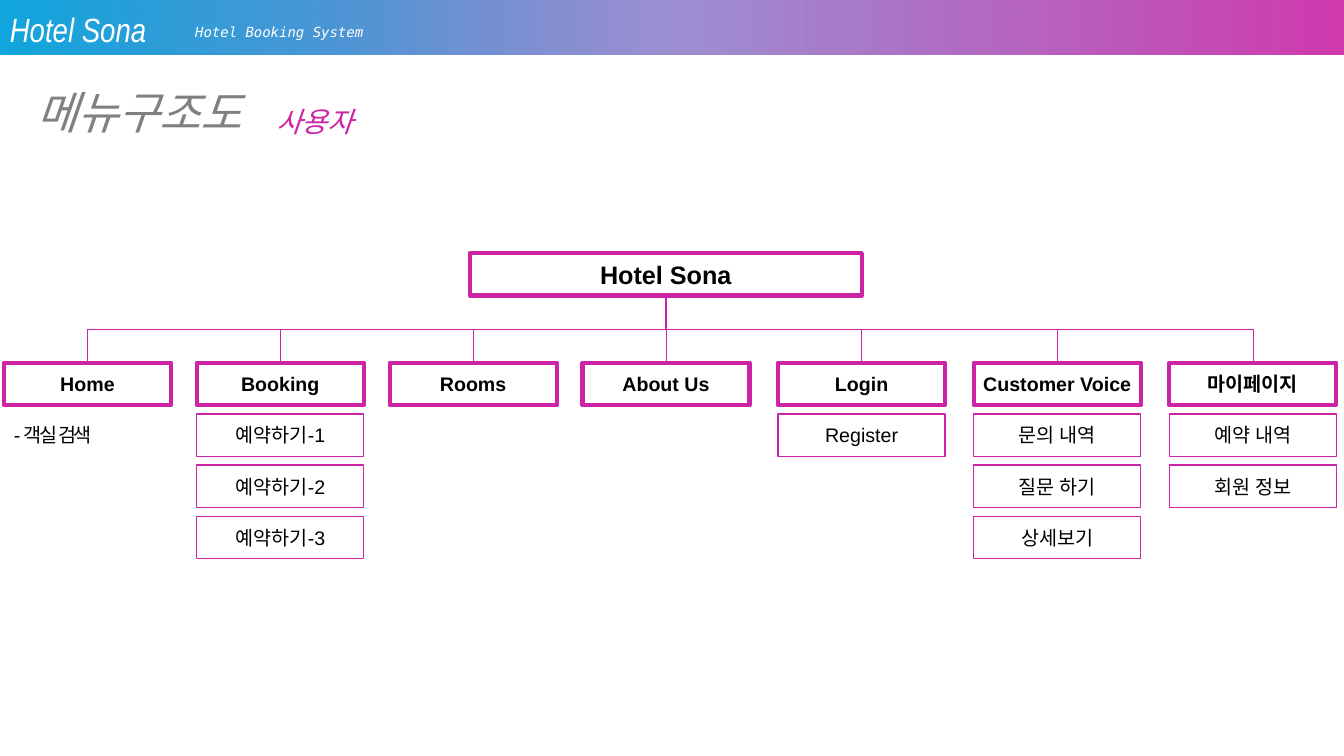
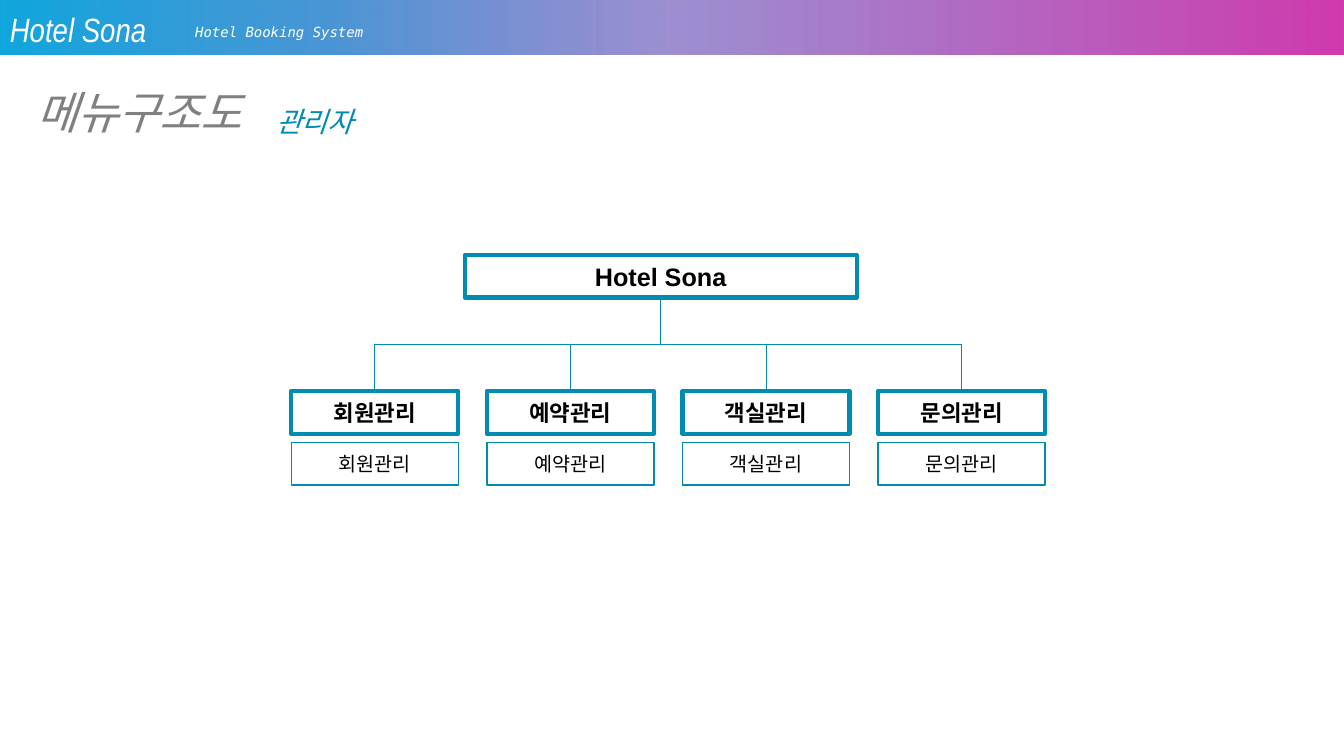
from dataclasses import dataclass

from lxml import etree
from pptx import Presentation, util as u
from pptx.dml.color import RGBColor
from pptx.enum import shapes, text
from pptx.oxml import parse_xml
from pptx.oxml.ns import nsdecls, qn
from pptx.slide import Slide

# Colours and fonts
MAGENTA = RGBColor(0xCC, 0x24, 0xA5)
TEAL = RGBColor(0x00, 0x8B, 0xB0)
GREY = RGBColor(0x80, 0x80, 0x80)
WHITE = RGBColor(0xFF, 0xFF, 0xFF)
BLACK = RGBColor(0x00, 0x00, 0x00)
# Band stops: position, colour, opacity (percent)
BAND_STOPS = [
    (0, MAGENTA, 90),
    (25, RGBColor(0xA3, 0x41, 0xB1), 80),
    (50, RGBColor(0x75, 0x61, 0xBF), 70),
    (75, RGBColor(0x39, 0x8B, 0xD1), 90),
    (100, RGBColor(0x11, 0xA7, 0xDE), 100),
]
KOREAN = "Noto Sans CJK KR"
BODY = "Arial"

# Lengths in centimetres
SLIDE_W, SLIDE_H = 33.87, 19.05
ROOT_W, BOX_W, BOX_H = 9.88, 4.21, 1.07
ROW_STEP = 1.29


@dataclass
class Style:
    size: float
    color: RGBColor = BLACK
    font: str = BODY
    bold: bool = False
    italic: bool = False
    spacing: int = 0


@dataclass
class Area:
    left: float
    top: float
    width: float
    height: float

    @property
    def center(self) -> float:
        return self.left + self.width / 2

    @property
    def bottom(self) -> float:
        return self.top + self.height

    def lengths(self) -> list[u.Length]:
        return [u.Cm(v) for v in (self.left, self.top, self.width, self.height)]


@dataclass
class Menu:
    label: str
    left: float
    items: tuple[str, ...] = ()
    boxed: bool = True


@dataclass
class SiteMap:
    role: str
    accent: RGBColor
    root_left: float
    root_top: float
    menu_top: float
    menu_size: float
    menus: list[Menu]


# Content
SITE = "Hotel Sona"
USER_LEFTS = [0.1 + 4.86 * i for i in range(4)] + [14.68 + 4.93 * i for i in (1, 2, 3)]
USER_MENUS = [
    ("Home", ("- 객실 검색",), False),
    ("Booking", ("예약하기-1", "예약하기-2", "예약하기-3")),
    ("Rooms",),
    ("About Us",),
    ("Login", ("Register",)),
    ("Customer Voice", ("문의 내역", "질문 하기", "상세보기")),
    ("마이페이지", ("예약 내역", "회원 정보")),
]
ADMIN_MENUS = ["회원관리", "예약관리", "객실관리", "문의관리"]

SITE_MAPS = [
    SiteMap("사용자", MAGENTA, 11.84, 6.38, 9.14, 14,
            [Menu(label, left, *rest)
             for left, (label, *rest) in zip(USER_LEFTS, USER_MENUS)]),
    SiteMap("관리자", TEAL, 11.71, 6.43, 9.86, 16,
            [Menu(label, 7.34 + 4.93 * i, (label,))
             for i, label in enumerate(ADMIN_MENUS)]),
]


def write(shape, wording: str, style: Style) -> None:
    run = shape.text_frame.paragraphs[0].add_run()
    run.text = wording
    font = run.font
    font.size, font.name = u.Pt(style.size), style.font
    font.bold, font.italic = style.bold, style.italic
    font.color.rgb = style.color
    props = run._r.get_or_add_rPr()
    etree.SubElement(props, qn("a:ea")).set("typeface", KOREAN)
    if style.spacing:
        props.set("spc", str(style.spacing))


def add_label(slide: Slide, area: Area, wording: str, style: Style, wrap: bool = True):
    label = slide.shapes.add_textbox(*area.lengths())
    label.text_frame.word_wrap = wrap
    label.text_frame.auto_size = text.MSO_AUTO_SIZE.SHAPE_TO_FIT_TEXT
    write(label, wording, style)
    return label


def add_rect(slide: Slide, area: Area):
    rect = slide.shapes.add_shape(shapes.MSO_SHAPE.RECTANGLE, *area.lengths())
    rect.shadow.inherit = False
    rect.line.fill.background()
    return rect


def add_box(slide: Slide, area: Area, wording: str, style: Style,
            border: RGBColor | None, weight: float = 1) -> None:
    box = add_rect(slide, area)
    box.fill.solid()
    box.fill.fore_color.rgb = WHITE
    if border is not None:
        box.line.color.rgb = border
        box.line.width = u.Pt(weight)
    frame = box.text_frame
    frame.word_wrap = False
    frame.vertical_anchor = text.MSO_ANCHOR.MIDDLE
    frame.paragraphs[0].alignment = (
        text.PP_ALIGN.LEFT if border is None else text.PP_ALIGN.CENTER)
    write(box, wording, style)


def add_branch(slide: Slide, root: Area, menu: Area, color: RGBColor) -> None:
    """Elbow that leaves the root downwards: a quarter turn of the sideways one."""
    drop, reach = menu.top - root.bottom, abs(menu.center - root.center)
    mid_x = (root.center + menu.center) / 2
    mid_y = (root.bottom + menu.top) / 2
    to_right = menu.center > root.center
    half = -drop / 2 if to_right else drop / 2
    branch = slide.shapes.add_connector(
        shapes.MSO_CONNECTOR.ELBOW,
        u.Cm(mid_x - half), u.Cm(mid_y - reach / 2),
        u.Cm(mid_x + half), u.Cm(mid_y + reach / 2))
    branch.line.color.rgb = color
    branch.line.width = u.Pt(0.5)
    props = branch.element.spPr
    props.find(qn("a:xfrm")).set("rot", str((270 if to_right else 90) * 60000))
    etree.SubElement(props, qn("a:effectLst"))


def add_header(slide: Slide) -> None:
    """Draw the gradient band with its names and move it to the slide master."""
    band = add_rect(slide, Area(0, 0, SLIDE_W, 1.37))
    stops = "".join(
        f'<a:gs pos="{pos * 1000}"><a:srgbClr val="{color}">'
        f'<a:alpha val="{opacity * 1000}"/></a:srgbClr></a:gs>'
        for pos, color, opacity in BAND_STOPS)
    band.element.spPr.find(qn("a:prstGeom")).addnext(parse_xml(
        f'<a:gradFill {nsdecls("a")} rotWithShape="1"><a:gsLst>{stops}</a:gsLst>'
        f'<a:lin ang="{180 * 60000}" scaled="0"/></a:gradFill>'))
    name = add_label(slide, Area(0, 0.1, 13.13, 1.27), SITE,
                     Style(24, WHITE, "Arial Narrow", italic=True))
    tagline = add_label(slide, Area(4.67, 0.46, 7.57, 0.69), "Hotel Booking System",
                        Style(10, WHITE, "DejaVu Sans Mono", italic=True))
    master_tree = slide.slide_layout.slide_master.shapes.element
    for part in (band, name, tagline):
        master_tree.append(part.element)


def add_site_map(slide: Slide, site_map: SiteMap) -> None:
    accent = site_map.accent

    # Title and role
    add_label(slide, Area(0.66, 2.01, 12.09, 1.63), "메뉴구조도",
              Style(32, GREY, KOREAN, italic=True))
    add_label(slide, Area(6.71, 2.51, 2.64, 1.12), site_map.role,
              Style(20, accent, KOREAN, italic=True), wrap=False)

    # Root, menus and their items
    root = Area(site_map.root_left, site_map.root_top, ROOT_W, BOX_H)
    add_box(slide, root, SITE, Style(18, bold=True), accent, 3)
    for menu in site_map.menus:
        head = Area(menu.left, site_map.menu_top, BOX_W, BOX_H)
        add_branch(slide, root, head, accent)
        add_box(slide, head, menu.label, Style(site_map.menu_size, bold=True), accent, 3)
        for row, item in enumerate(menu.items, start=1):
            add_box(slide, Area(menu.left, head.top + row * ROW_STEP, BOX_W, BOX_H), item,
                    Style(14, spacing=0 if menu.boxed else -150),
                    accent if menu.boxed else None)


def main() -> None:
    deck = Presentation()
    deck.slide_width, deck.slide_height = u.Cm(SLIDE_W), u.Cm(SLIDE_H)
    blank = deck.slide_layouts[6]
    for number, site_map in enumerate(SITE_MAPS):
        slide = deck.slides.add_slide(blank)
        if number == 0:
            add_header(slide)
        add_site_map(slide, site_map)
    deck.save("out.pptx")


if __name__ == "__main__":
    main()
